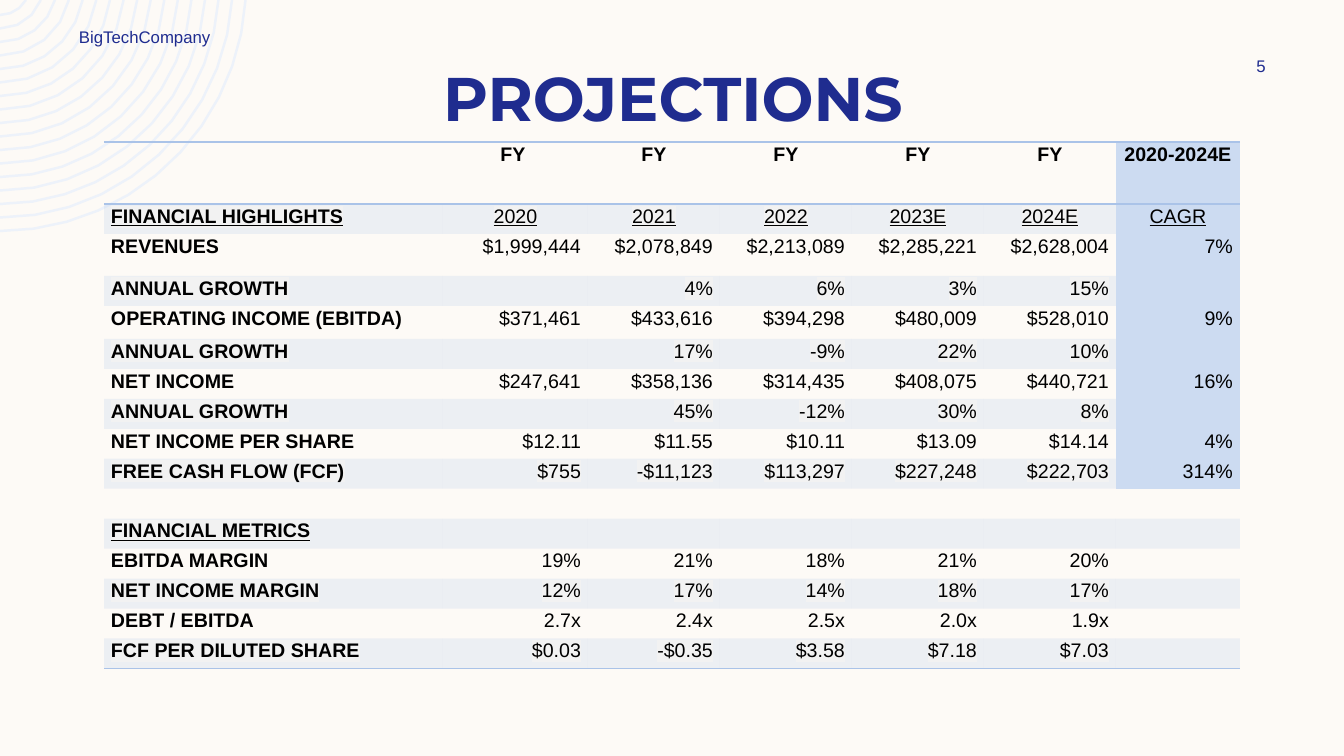
"""Build the Projections slide with its five-year financial table."""
from math import asin, cos, pi, sin
from lxml.etree import SubElement
from pptx import Presentation
from pptx.dml.color import RGBColor
from pptx.enum.text import MSO_ANCHOR, PP_ALIGN
from pptx.oxml import parse_xml
from pptx.oxml.ns import nsdecls, qn
from pptx.util import Pt

PX = 914400 / 100.8
COLORS = {"cream": "FDFAF6", "navy": "1F2C8F", "ring": "EDF2FA", "blue": "AAC3E8",
          "cagr": "CCDBF1", "highlight": "F2F2F2", "black": "000000"}


def px(n):
    return round(n * PX)


def rgb(name):
    return RGBColor.from_string(COLORS[name])


prs = Presentation()
prs.slide_width, prs.slide_height = px(1344), px(756)
slide = prs.slides.add_slide(prs.slide_layouts[6])
slide.background.fill.solid()
slide.background.fill.fore_color.rgb = rgb("cream")

RING_COUNT, OUTER, INNER, RISE = 17, 246, 30, 15
builder = None
for i in range(RING_COUNT):
    radius = INNER + (OUTER - INNER) * i / (RING_COUNT - 1)
    start, steps = asin(RISE / radius), 3 + i // 2
    angles = [start + (pi / 2 - start) * k / steps for k in range(steps + 1)]
    points = [(px(radius * cos(a)), px(radius * sin(a) - RISE)) for a in angles]
    if builder is None:
        builder = slide.shapes.build_freeform(*points[0], scale=1.0)
    else:
        builder.move_to(*points[0])
    builder.add_line_segments(points[1:], close=False)
rings = builder.convert_to_shape()
rings.shadow.inherit = False
rings.fill.background()
rings.line.color.rgb = rgb("ring")
rings.line.width = Pt(1.75)

for text, box, size, font, bold, align in (
    ("PROJECTIONS", (85, 54, 1176, 85), 44, "Montserrat", True, PP_ALIGN.CENTER),
    ("5", (1207, 51, 108, 30), 12, "Arial", False, PP_ALIGN.CENTER),
    ("BigTechCompany", (69, 22, 353, 30), 12, "Arial", False, PP_ALIGN.LEFT),
):
    tf = slide.shapes.add_textbox(*map(px, box)).text_frame
    tf.word_wrap = True
    tf.vertical_anchor = MSO_ANCHOR.MIDDLE
    p = tf.paragraphs[0]
    p.text, p.alignment = text, align
    r = p.runs[0]
    r.font.size, r.font.name, r.font.bold = Pt(size), font, bold
    r.font.color.rgb = rgb("navy")

ROWS = [
    ["", "FY ", "FY", "FY", "FY", "FY", "2020-2024E"],
    ["FINANCIAL HIGHLIGHTS", "2020", "2021", "2022", "2023E", "2024E", "CAGR"],
    ["REVENUES", "$1,999,444", "$2,078,849", "$2,213,089", "$2,285,221", "$2,628,004", "7%"],
    ["ANNUAL GROWTH", "", "4%", "6%", "3%", "15%", ""],
    ["OPERATING INCOME (EBITDA)", "$371,461", "$433,616", "$394,298", "$480,009", "$528,010", "9%"],
    ["ANNUAL GROWTH", "", "17%", "-9%", "22%", "10%", ""],
    ["NET INCOME", "$247,641", "$358,136", "$314,435", "$408,075", "$440,721", "16%"],
    ["ANNUAL GROWTH", "", "45%", "-12%", "30%", "8%", ""],
    ["NET INCOME PER SHARE", "$12.11", "$11.55", "$10.11", "$13.09", "$14.14", "4%"],
    ["FREE CASH FLOW (FCF)", "$755", "-$11,123", "$113,297", "$227,248", "$222,703", "314%"],
    [""] * 7,
    ["FINANCIAL METRICS"] + [""] * 6,
    ["EBITDA MARGIN", "19%", "21%", "18%", "21%", "20%", ""],
    ["NET INCOME MARGIN", "12%", "17%", "14%", "18%", "17%", ""],
    ["DEBT / EBITDA", "2.7x", "2.4x", "2.5x", "2.0x", "1.9x", ""],
    ["FCF PER DILUTED SHARE", "$0.03", "-$0.35", "$3.58", "$7.18", "$7.03", ""],
]
WIDTHS = [339, 145] + [132] * 4 + [124]
HEIGHTS = [62, 30, 42, 30, 33] + [30] * 11
BORDERS = {0: ("lnB", "lnT"), 15: ("lnB",)}
METRICS_ROW, CAGR_COL, CAGR_END = 11, 6, 9

table = slide.shapes.add_table(len(ROWS), len(WIDTHS), px(104), px(142),
                               px(sum(WIDTHS)), px(sum(HEIGHTS))).table
table.first_row = table.horz_banding = False
table._tbl.tblPr.find(qn("a:tableStyleId")).text = "{2D5ABB26-0587-4C30-8999-92F81FD0307C}"
for column, width in zip(table.columns, WIDTHS):
    column.width = px(width)
for row, height in zip(table.rows, HEIGHTS):
    row.height = px(height)

for i, values in enumerate(ROWS):
    for j, value in enumerate(values):
        cell = table.cell(i, j)
        cell.margin_left = cell.margin_right = px(7)
        cell.margin_top = cell.margin_bottom = 0
        in_cagr = j == CAGR_COL and i <= CAGR_END
        banded = i % 2 == 1 and not in_cagr
        if in_cagr or banded:
            cell.fill.solid()
            cell.fill.fore_color.rgb = rgb("cagr" if in_cagr else "blue")
        else:
            cell.fill.background()
        tcPr = cell._tc.get_or_add_tcPr()
        if banded:
            SubElement(tcPr.find(".//" + qn("a:srgbClr")), qn("a:alpha"), val="20000")
        for side in BORDERS.get(i, ()):
            tcPr.insert(0, parse_xml(
                f'<a:{side} {nsdecls("a")} w="12700"><a:solidFill>'
                f'<a:srgbClr val="{COLORS["blue"]}"/></a:solidFill></a:{side}>'))

        p = cell.text_frame.paragraphs[0]
        if not value:
            SubElement(p._p, qn("a:endParaRPr"), sz="1400")
            continue
        p.text = value
        p.line_spacing, p.space_after = 1.07, Pt(8)
        if j == 0:
            p.alignment = PP_ALIGN.LEFT
        else:
            p.alignment = PP_ALIGN.CENTER if i < 2 else PP_ALIGN.RIGHT
        r = p.runs[0]
        r.font.size, r.font.name = Pt(14), "Arial"
        r.font.bold = i == 0 or j == 0
        r.font.underline = i in (1, METRICS_ROW)
        r.font.color.rgb = rgb("black")
        if banded:
            r._r.rPr.find(qn("a:solidFill")).addnext(parse_xml(
                f'<a:highlight {nsdecls("a")}><a:srgbClr val="{COLORS["highlight"]}"/></a:highlight>'))

prs.save("out.pptx")
